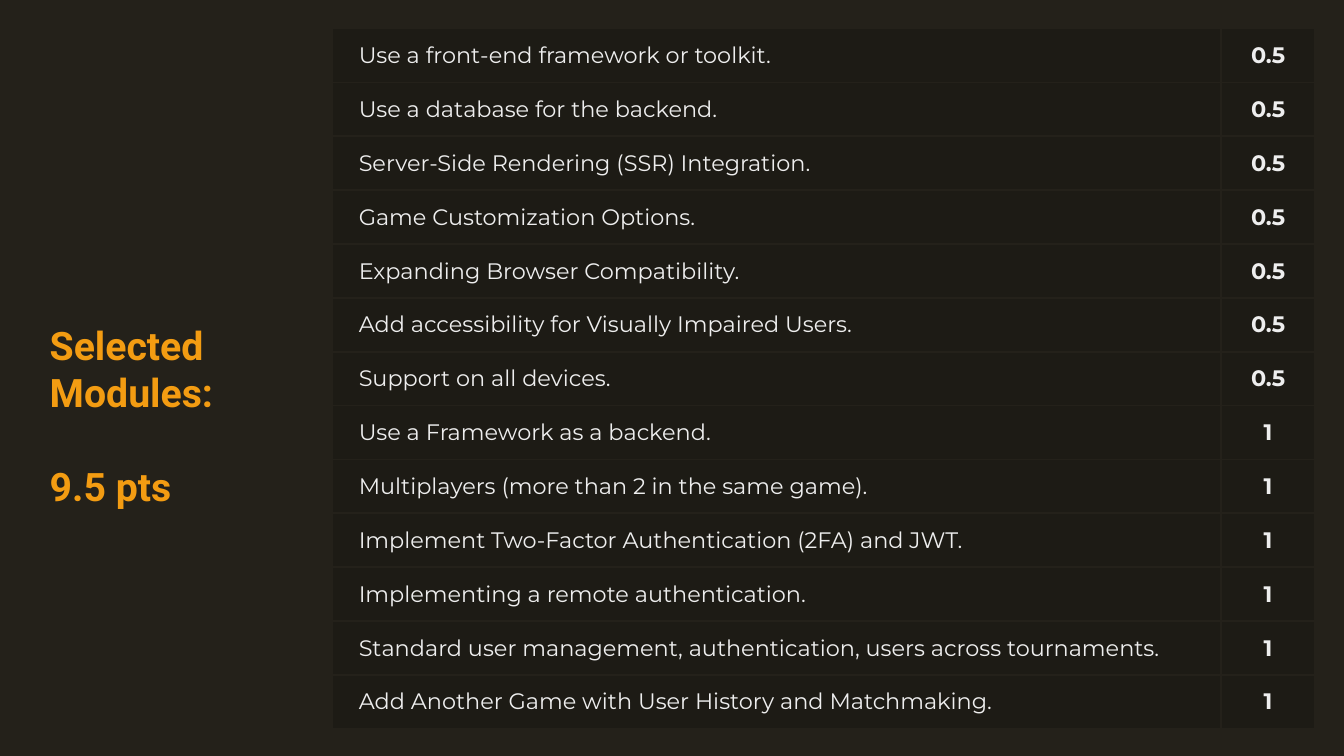
from lxml import etree
from pptx import Presentation
from pptx import util as u
from pptx.dml.color import RGBColor
from pptx.enum import text
from pptx.oxml import ns

BACKGROUND = RGBColor(0x24, 0x21, 0x1A)
CELL = RGBColor(0x1D, 0x1B, 0x15)
INK = RGBColor(0xEE, 0xEE, 0xEE)
ORANGE = RGBColor(0xF3, 0x9C, 0x12)

HALF_POINT_MODULES = [
    "Use a front-end framework or toolkit.",
    "Use a database for the backend.",
    "Server-Side Rendering (SSR) Integration.",
    "Game Customization Options.",
    "Expanding Browser Compatibility.",
    "Add accessibility for Visually Impaired Users.",
    "Support on all devices.",
]
ONE_POINT_MODULES = [
    "Use a Framework as a backend.",
    "Multiplayers (more than 2 in the same game).",
    "Implement Two-Factor Authentication (2FA) and JWT.",
    "Implementing a remote authentication.",
    "Standard user management, authentication, users across tournaments.",
    "Add Another Game with User History and Matchmaking.",
]


class ModulePage:
    def __init__(self, deck):
        self.page = deck.slides.add_slide(deck.slide_layouts[5])
        fill = self.page.background.fill
        fill.solid()
        fill.fore_color.rgb = BACKGROUND

    def style(self, para, font, size, color, bold):
        para.font.name = font
        para.font.size = u.Pt(size)
        para.font.color.rgb = color
        para.font.bold = bold

    def title(self, lines, left, top, width, height):
        box = self.page.shapes.title
        box.left, box.top = u.Cm(left), u.Cm(top)
        box.width, box.height = u.Cm(width), u.Cm(height)
        frame = box.text_frame
        frame.text = "\n".join(lines)
        frame.word_wrap = True
        frame.auto_size = text.MSO_AUTO_SIZE.NONE
        frame.vertical_anchor = text.MSO_ANCHOR.TOP
        frame.margin_left = frame.margin_right = u.Cm(0.25)
        frame.margin_top = frame.margin_bottom = u.Cm(0.25)
        for para in frame.paragraphs:
            para.alignment = text.PP_ALIGN.LEFT
            para.line_spacing = 1.0
            para.space_before = u.Pt(0)
            self.style(para, "Roboto", 21, ORANGE, True)
        frame.paragraphs[-1].space_before = u.Pt(25)

    def border(self, cell):
        properties = cell._tc.get_or_add_tcPr()
        for side in ("a:lnL", "a:lnR", "a:lnT", "a:lnB"):
            line = etree.SubElement(properties, ns.qn(side), w=str(u.Pt(1)))
            fill = etree.SubElement(line, ns.qn("a:solidFill"))
            etree.SubElement(fill, ns.qn("a:srgbClr"), val=str(BACKGROUND))

    def cell(self, cell, words, align, bold):
        self.border(cell)
        cell.fill.solid()
        cell.fill.fore_color.rgb = CELL
        cell.vertical_anchor = text.MSO_ANCHOR.MIDDLE
        cell.margin_left = cell.margin_right = u.Cm(0.51)
        cell.margin_top = cell.margin_bottom = u.Cm(0.25)
        cell.text = words
        para = cell.text_frame.paragraphs[0]
        para.alignment = align
        self.style(para, "Montserrat", 12, INK, bold)

    def table(self, rows, left, top, widths, row_height):
        table = self.page.shapes.add_table(
            len(rows), len(widths), u.Cm(left), u.Cm(top),
            u.Cm(sum(widths)), u.Cm(row_height * len(rows))).table
        table.first_row = table.horz_banding = False
        for column, width in zip(table.columns, widths):
            column.width = u.Cm(width)
        for index, (module, points) in enumerate(rows):
            self.cell(table.cell(index, 0), module, text.PP_ALIGN.LEFT, False)
            self.cell(table.cell(index, 1), points, text.PP_ALIGN.CENTER, True)


def main():
    deck = Presentation()
    deck.slide_width, deck.slide_height = u.Cm(25.4), u.Cm(14.29)
    page = ModulePage(deck)
    rows = [(module, "0.5") for module in HALF_POINT_MODULES]
    rows += [(module, "1") for module in ONE_POINT_MODULES]
    page.table(rows, 6.27, 0.54, (16.81, 1.77), 0.97)
    page.title(["Selected", "Modules:", "9.5 pts"], 0.69, 5.82, 5.49, 4.11)
    deck.save("out.pptx")


if __name__ == "__main__":
    main()
